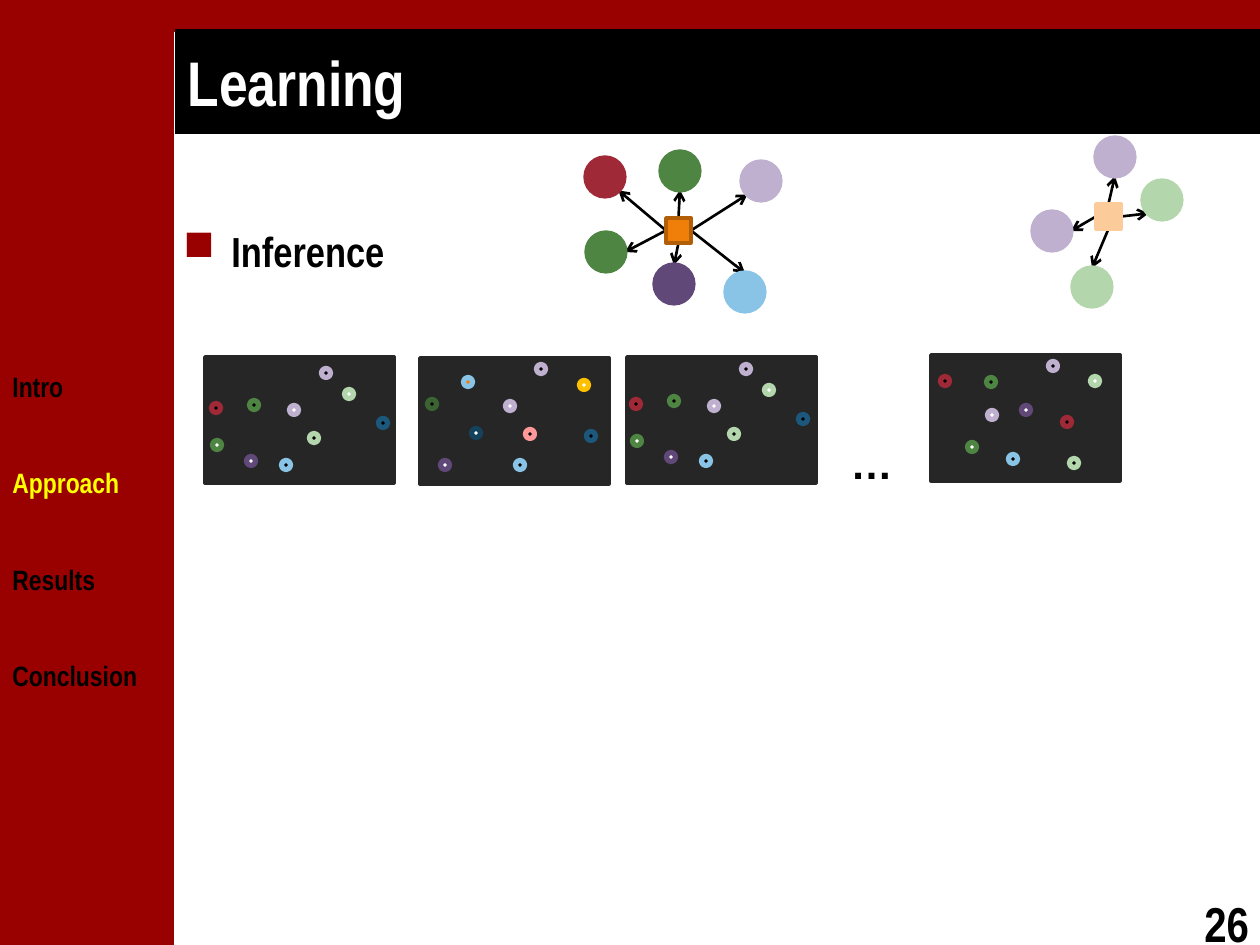
"""Build the Learning slide with its inference panels and hub diagrams."""
from dataclasses import dataclass
from math import cos, radians, sin

from lxml.etree import SubElement
from pptx import Presentation
from pptx.dml.color import RGBColor
from pptx.enum.shapes import MSO_CONNECTOR, MSO_SHAPE
from pptx.enum.text import MSO_ANCHOR, MSO_AUTO_SIZE, PP_ALIGN
from pptx.oxml.ns import qn
from pptx.util import Emu, Pt

EMU_PER_PX = 914400 / 126
TOP, LEFT, BOTTOM, RIGHT = range(4)


@dataclass(frozen=True)
class Theme:
    black: str = "000000"
    white: str = "FFFFFF"
    banner: str = "990000"
    panel: str = "262626"
    active: str = "FFFF00"
    red: str = "9F2936"
    navy: str = "1B587C"
    ink: str = "14425D"
    purple: str = "604878"
    sky: str = "89C3E5"
    mint: str = "B3D6AC"
    lavender: str = "BFB0CF"
    green: str = "4E8542"
    moss: str = "3B6432"
    pink: str = "FF9999"
    gold: str = "FFC000"
    orange: str = "F07F09"
    rust: str = "B25E07"
    peach: str = "FBCC9A"
    narrow: str = "Arial Narrow"
    sans: str = "Arial"
    title_size: int = 36
    number_size: int = 28
    body_size: int = 24
    menu_size: int = 16


THEME = Theme()
T = THEME

PANELS = [(205, 357), (420, 358), (627, 357), (931, 355)]

FIRST_DOTS = [
    (216, 408, T.red, T.black), (383, 423, T.navy, T.black),
    (251, 461, T.purple, T.white), (286, 465, T.sky, T.black),
    (314, 438, T.mint, T.black), (294, 410, T.lavender, T.white),
    (254, 405, T.green, T.black), (217, 445, T.green, T.white),
    (349, 394, T.mint, T.white), (326, 373, T.lavender, T.black),
]
SECOND_DOTS = [
    (432, 404, T.moss, T.black), (591, 436, T.navy, T.black),
    (445, 465, T.purple, T.white), (520, 465, T.sky, T.black),
    (530, 434, T.pink, T.black), (510, 406, T.lavender, T.white),
    (468, 382, T.sky, T.orange), (476, 433, T.ink, T.white),
    (584, 385, T.gold, T.white), (541, 369, T.lavender, T.black),
]
THIRD_DOTS = [(x + 420, y - 4, ring, core) for x, y, ring, core in FIRST_DOTS]
LAST_DOTS = [
    (945, 381, T.red, T.black), (1067, 422, T.red, T.black),
    (1026, 410, T.purple, T.white), (1013, 459, T.sky, T.black),
    (1074, 463, T.mint, T.black), (992, 415, T.lavender, T.white),
    (991, 382, T.green, T.black), (972, 447, T.green, T.white),
    (1095, 381, T.mint, T.white), (1053, 366, T.lavender, T.black),
]

FULL_NODES = [
    (605, 177, T.red, LEFT, 45), (674, 284, T.purple, BOTTOM, -90),
    (745, 292, T.sky, RIGHT, -90), (761, 181, T.lavender, RIGHT, 135),
    (680, 171, T.green, TOP, 90), (606, 252, T.green, LEFT, 0),
]
PALE_NODES = [
    (1092, 287, T.mint, BOTTOM, -90), (1052, 231, T.lavender, LEFT, 0),
    (1162, 200, T.mint, RIGHT, 135), (1115, 157, T.lavender, TOP, 90),
]


def px(length):
    """Turn pixels into EMU."""
    return Emu(round(length * EMU_PER_PX))


def rgb(color):
    """Turn a hex string into a colour."""
    return RGBColor.from_string(color)


class SlideBuilder:
    """Draw each kind of element on the current slide in the theme's style."""

    def __init__(self, slide, theme):
        self.slide = slide
        self.theme = theme

    def style(self, paragraph, size, color, font=None):
        for run in paragraph.runs:
            run.font.name = font or self.theme.narrow
            run.font.size = Pt(size)
            run.font.bold = True
            run.font.color.rgb = rgb(color)

    def shape(self, kind, box, fill, line=None, width=0, shapes=None):
        target = shapes or self.slide.shapes
        shape = target.add_shape(kind, *map(px, box))
        shape.shadow.inherit = False
        shape.fill.solid()
        shape.fill.fore_color.rgb = rgb(fill)
        if line:
            shape.line.color.rgb = rgb(line)
            shape.line.width = Pt(width)
        else:
            shape.line.fill.background()
        return shape

    def circle(self, x, y, size, fill, line, shapes=None):
        box = (x - size / 2, y - size / 2, size, size)
        return self.shape(MSO_SHAPE.OVAL, box, fill, line, 3, shapes)

    def title(self, text, box):
        title = self.slide.shapes.title
        title.left, title.top, title.width, title.height = map(px, box)
        title.fill.solid()
        title.fill.fore_color.rgb = rgb(self.theme.black)
        frame = title.text_frame
        frame.text = text
        frame.auto_size = MSO_AUTO_SIZE.NONE
        frame.vertical_anchor = MSO_ANCHOR.MIDDLE
        frame.paragraphs[0].alignment = PP_ALIGN.LEFT
        self.style(frame.paragraphs[0], self.theme.title_size, self.theme.white)
        title.element.getparent().append(title.element)

    def text(self, text, box, size, font=None, align=PP_ALIGN.LEFT, wrap=True):
        frame = self.slide.shapes.add_textbox(*map(px, box)).text_frame
        frame.word_wrap = wrap
        frame.text = text
        for paragraph in frame.paragraphs:
            paragraph.alignment = align
            self.style(paragraph, size, self.theme.black, font)
        return frame

    def bullet(self, text, box):
        paragraph = self.text(text, box, self.theme.body_size).paragraphs[0]
        properties = paragraph._p.get_or_add_pPr()
        properties.set("marL", str(px(48)))
        properties.set("indent", str(-px(48)))
        color = SubElement(properties, qn("a:buClr"))
        SubElement(color, qn("a:srgbClr"), val=self.theme.banner)
        SubElement(properties, qn("a:buChar"), char="■")

    def menu(self, entries, active, box):
        frame = self.text("\n".join(entries), box, self.theme.menu_size)
        for paragraph in frame.paragraphs[1:]:
            paragraph.space_before = Pt(36)
        self.style(frame.paragraphs[entries.index(active)],
                   self.theme.menu_size, self.theme.active)

    def arrow(self, source, side, end, shapes):
        connector = shapes.add_connector(MSO_CONNECTOR.STRAIGHT, 0, 0, *map(px, end))
        connector.begin_connect(source, side)
        connector.line.color.rgb = rgb(self.theme.black)
        connector.line.width = Pt(1.5)
        SubElement(connector.line._get_or_add_ln(), qn("a:tailEnd"), type="arrow")
        SubElement(connector.element.spPr, qn("a:effectLst"))

    def hub(self, box, fill, line, nodes):
        shapes = self.slide.shapes.add_group_shape().shapes
        for x, y, color, _, _ in nodes:
            self.circle(x, y, 38, color, color, shapes)
        square = self.shape(MSO_SHAPE.RECTANGLE, box, fill, line, 2, shapes)
        for x, y, _, side, angle in nodes:
            end = (x + 19 * cos(radians(angle)), y + 19 * sin(radians(angle)))
            self.arrow(square, side, end, shapes)


def main():
    """Build and save the slide."""
    presentation = Presentation()
    presentation.slide_width, presentation.slide_height = px(1260), px(945)
    slide = presentation.slides.add_slide(presentation.slide_layouts[5])
    builder = SlideBuilder(slide, THEME)
    for band in [(0, 0, 174, 945), (0, 0, 1260, 32)]:
        builder.shape(MSO_SHAPE.RECTANGLE, band, T.banner)
    builder.title("Learning", (175, 29, 1085, 105))
    builder.text("26", (1192, 887, 74, 72), T.number_size, wrap=False)
    builder.bullet("Inference", (171, 219, 1061, 61))
    for left, top in PANELS:
        builder.shape(MSO_SHAPE.RECTANGLE, (left, top, 189, 126), T.panel, T.panel, 2)
    builder.text("…", (818, 431, 107, 64), T.body_size, T.sans, PP_ALIGN.CENTER)
    for x, y, ring, core in FIRST_DOTS + THIRD_DOTS + SECOND_DOTS + LAST_DOTS:
        builder.circle(x, y, 9, core, ring)
    builder.hub((666, 218, 25, 25), T.orange, T.rust, FULL_NODES)
    builder.hub((1096, 204, 25, 25), T.peach, T.peach, PALE_NODES)
    builder.menu(["Intro", "Approach", "Results", "Conclusion"], "Approach",
                 (0, 363, 170, 330))
    presentation.save("out.pptx")


if __name__ == "__main__":
    main()
